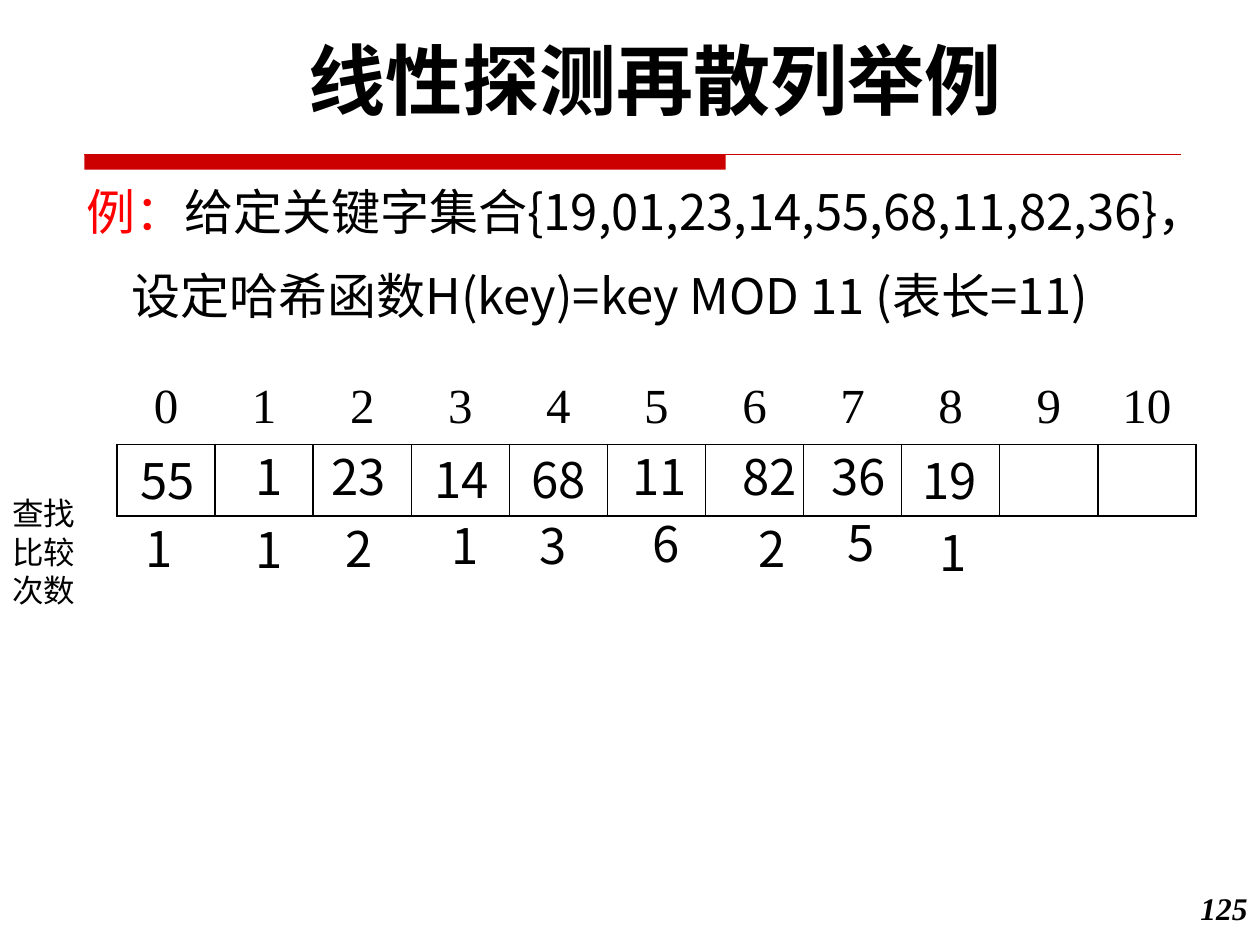
from dataclasses import dataclass

from lxml import etree
from pptx import Presentation
from pptx.dml.color import RGBColor
from pptx.enum.shapes import MSO_CONNECTOR, MSO_SHAPE
from pptx.enum.text import MSO_ANCHOR, MSO_AUTO_SIZE, PP_ALIGN
from pptx.oxml.ns import qn
from pptx.util import Cm, Pt

LEFT, CENTER, RIGHT = PP_ALIGN.LEFT, PP_ALIGN.CENTER, PP_ALIGN.RIGHT
TOP = MSO_ANCHOR.TOP
NO_FIT = MSO_AUTO_SIZE.NONE
RECT, STRAIGHT = MSO_SHAPE.RECTANGLE, MSO_CONNECTOR.STRAIGHT


@dataclass(frozen=True)
class Theme:
    ink: str = "000000"
    accent: str = "FF0000"
    rule: str = "CC0000"
    cjk: str = "Noto Sans CJK SC"
    heading: str = "Roboto"
    serif: str = "Times New Roman"
    title: int = 44
    body: int = 28
    small: int = 18
    leading: float = 1.21


T = Theme()

# Hash slots in order: key, (x, y) of key, comparisons, (x, y) of comparisons
SLOTS = [
    ("55", (0.23, 1.42), "1", (0.33, 2.79)),
    ("1", (2.54, 1.34), "1", (2.54, 2.82)),
    ("23", (4.07, 1.34), "2", (4.35, 2.79)),
    ("14", (6.15, 1.40), "1", (6.50, 2.74)),
    ("68", (8.10, 1.40), "3", (8.26, 2.74)),
    ("11", (10.14, 1.34), "6", (10.54, 2.69)),
    ("82", (12.35, 1.34), "2", (12.68, 2.79)),
    ("36", (14.15, 1.34), "5", (14.48, 2.67)),
    ("19", (15.98, 1.42), "1", (16.33, 2.87)),
]
TABLE_LENGTH = 11


def style(r, size, name=T.cjk, color=T.ink, bold=False, italic=False):
    f = r.font
    f.size, f.name, f.bold, f.italic = Pt(size), name, bold, italic
    f.color.rgb = RGBColor.from_string(color)
    ea = etree.Element(qn("a:ea"), typeface=T.cjk)
    r._r.rPr.find(qn("a:latin")).addnext(ea)


def set_leading(p, size):
    p.line_spacing = Pt(round(size * T.leading))


def add_text(s, box, text, size, align=LEFT, **font):
    tf = s.shapes.add_textbox(*map(Cm, box)).text_frame
    tf.word_wrap = True
    tf.text = text
    p = tf.paragraphs[0]
    p.alignment = align
    set_leading(p, size)
    style(p.runs[0], size, **font)
    return tf


def add_title(s, box, text):
    sp = s.shapes.title
    sp.left, sp.top, sp.width, sp.height = map(Cm, box)
    tf = sp.text_frame
    tf.auto_size, tf.vertical_anchor = NO_FIT, TOP
    tf.text = text
    p = tf.paragraphs[0]
    p.alignment = CENTER
    set_leading(p, T.title)
    style(p.runs[0], T.title, T.heading, bold=True)


def add_rule(s, box, bar_width):
    x, y, w, h = box
    color = RGBColor.from_string(T.rule)
    bar = s.shapes.add_shape(RECT, Cm(x), Cm(y), Cm(bar_width), Cm(h))
    bar.shadow.inherit = False
    bar.fill.solid()
    bar.fill.fore_color.rgb = color
    bar.line.fill.background()
    line = s.shapes.add_connector(STRAIGHT, Cm(x), Cm(y), Cm(x + w), Cm(y))
    line.line.color.rgb = color
    line.line.width = Pt(0.75)
    etree.SubElement(line._element.spPr, qn("a:effectLst"))


def add_problem(s, box):
    tf = add_text(s, box, "例：", T.body, color=T.accent)
    r = tf.paragraphs[0].add_run()
    r.text = "给定关键字集合{19,01,23,14,55,68,11,82,36}，"
    style(r, T.body)
    p = tf.add_paragraph()
    p.text = "设定哈希函数H(key)=key MOD 11 (表长=11)"
    p._p.get_or_add_pPr().set("marL", str(Cm(0.91)))
    p.space_before = Pt(T.body / 2)
    set_leading(p, T.body)
    style(p.runs[0], T.body)


def add_borders(cell):
    tcPr = cell._tc.get_or_add_tcPr()
    for i, side in enumerate(("lnL", "lnR", "lnT", "lnB")):
        ln = etree.Element(qn(f"a:{side}"), w=str(Pt(1)))
        fill = etree.SubElement(ln, qn("a:solidFill"))
        etree.SubElement(fill, qn("a:srgbClr"), val=T.ink)
        tcPr.insert(i, ln)


def add_hash_table(s, box):
    x, y, w, h = box
    table = s.shapes.add_table(2, TABLE_LENGTH, *map(Cm, box)).table
    table.first_row = table.horz_banding = False
    for row in table.rows:
        row.height = Cm(h / 2)
    for i, col in enumerate(table.columns):
        col.width = Cm(w / TABLE_LENGTH)
        head, slot = table.cell(0, i), table.cell(1, i)
        head.fill.background()
        slot.fill.background()
        add_borders(slot)
        head.text = str(i)
        p = head.text_frame.paragraphs[0]
        p.alignment = CENTER
        style(p.runs[0], T.body, T.serif)

    # Keys in their slots, with the comparisons below
    for key, key_at, count, count_at in SLOTS:
        for text, (dx, dy) in ((key, key_at), (count, count_at)):
            add_text(s, (x + dx, y + dy, 1.6, 1.45), text, T.body)


def main():
    prs = Presentation()
    prs.slide_width, prs.slide_height = Cm(25.4), Cm(19.05)
    s = prs.slides.add_slide(prs.slide_layouts[5])
    add_rule(s, (1.7, 3.12, 22.1, 0.3), 12.93)
    add_title(s, (1.47, 0.53, 23.5, 2.13), "线性探测再散列举例")
    add_problem(s, (1.5, 3.53, 24.33, 3.4))
    add_hash_table(s, (2.36, 7.52, 21.75, 2.88))
    # Row label and page number
    add_text(s, (0, 9.83, 2.36, 2.57), "查找比较次数", T.small)
    add_text(s, (23.7, 17.78, 1.7, 1.27), "125", T.small, RIGHT,
             name=T.serif, bold=True, italic=True)
    prs.save("out.pptx")


if __name__ == "__main__":
    main()
